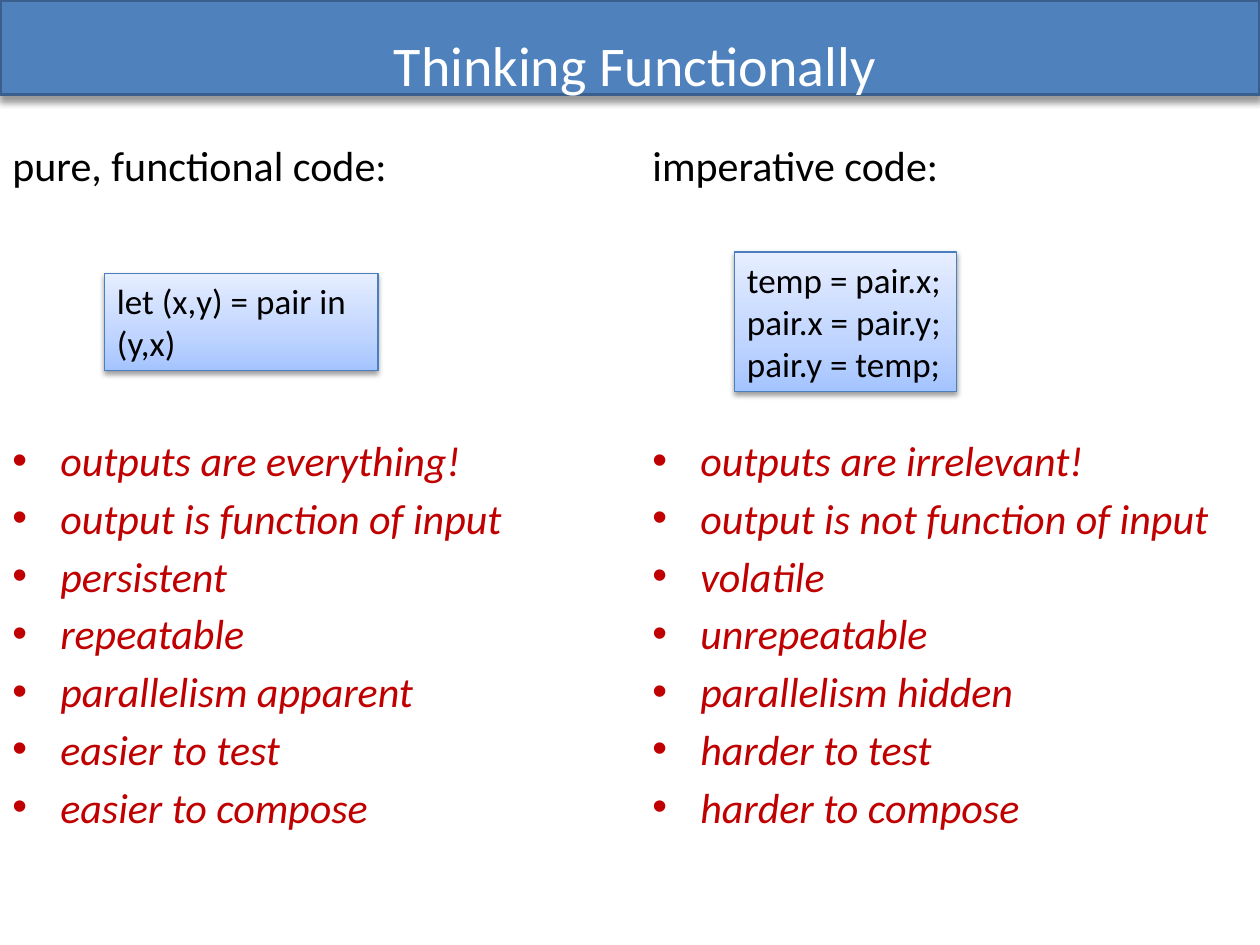
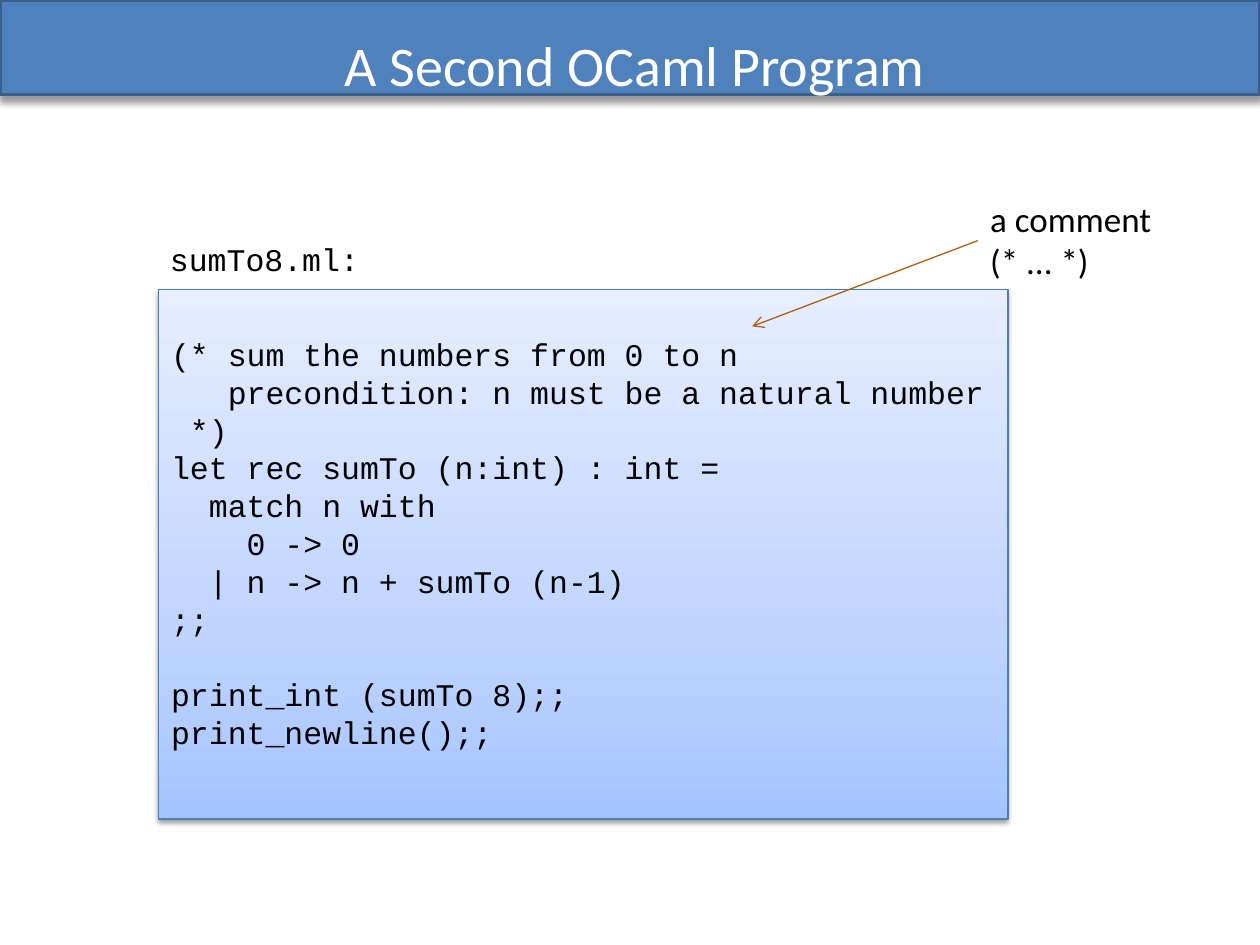
from lxml import etree
from pptx import Presentation
from pptx.dml.color import RGBColor
from pptx.enum.shapes import MSO_CONNECTOR as Link, MSO_SHAPE as Shape
from pptx.enum.text import MSO_ANCHOR as Anchor, PP_ALIGN as Align
from pptx.oxml.ns import qn
from pptx.util import Inches, Pt

# Shared look
SANS, MONO = "Calibri", "Courier New"
BLACK, WHITE, RED = "000000", "FFFFFF", "C00000"
BLUE, NAVY, EDGE, BROWN = "4F81BD", "3A5F8C", "4B7EBC", "B45F06"
STOPS = [(0, "A4C4FF"), (35, "BFD4FF"), (100, "E6EEFF")]
GAP = Pt(4.2)

# Words of the first slide: left, width, heading, points
PURE = (0, 4.92, "pure, functional code:", [
    "outputs are everything!", "output is function of input", "persistent",
    "repeatable", "parallelism apparent", "easier to test",
    "easier to compose"])
STATE = (5.08, 4.63, "imperative code:", [
    "outputs are irrelevant!", "output is not function of input", "volatile",
    "unrepeatable", "parallelism hidden", "harder to test",
    "harder to compose"])
SWAP = ["let (x,y) = pair in", "(y,x)"]
TEMP = ["temp = pair.x;", "pair.x = pair.y;", "pair.y = temp;"]

# Code of the second slide
SUM = [
    "(* sum the numbers from 0 to n",
    "   precondition: n must be a natural number",
    " *)",
    "let rec sumTo (n:int) : int =",
    "  match n with",
    "    0 -> 0",
    "  | n -> n + sumTo (n-1)",
    ";;",
]
PRINT = ["print_int (sumTo 8);;", "print_newline();;"]


def color(code):
    return RGBColor.from_string(code)


def node(parent, tag, **attrs):
    return etree.SubElement(parent, qn(tag),
                            {key: str(val) for key, val in attrs.items()})


# Text
def add_line(para, text, size, font=SANS, tint=BLACK, italic=False):
    run = para.add_run()
    run.text = text
    run.font.size = Pt(size)
    run.font.name = font
    run.font.italic = italic
    run.font.color.rgb = color(tint)


def fill_text(frame, lines, size, font=SANS, tint=BLACK, italic=False,
              align=Align.LEFT, gap=0, dots=False):
    for num, text in enumerate(lines):
        para = frame.add_paragraph() if num else frame.paragraphs[0]
        para.alignment = align
        if num:
            para.space_before = gap
        if dots:
            add_dot(para)
        add_line(para, text, size, font, tint, italic)


def add_dot(para):
    props = para._p.get_or_add_pPr()
    props.set("marL", str(Inches(0.38)))
    props.set("indent", str(-Inches(0.38)))
    node(props, "a:buFont", typeface="Arial")
    node(props, "a:buChar", char="•")


def add_text(slide, box, lines, size, wrap=True, anchor=Anchor.TOP, **style):
    frame = slide.shapes.add_textbox(*map(Inches, box)).text_frame
    frame.word_wrap = wrap
    frame.vertical_anchor = anchor
    fill_text(frame, lines, size, **style)


# Shapes
def add_box(slide, box, edge, width, shade):
    shape = slide.shapes.add_shape(Shape.RECTANGLE, *map(Inches, box))
    shape.line.color.rgb = color(edge)
    shape.line.width = Pt(width)
    shape.shadow.inherit = False
    blur, dist, alpha = shade
    effects = shape._element.spPr.find(qn("a:effectLst"))
    shadow = node(effects, "a:outerShdw", blurRad=Pt(blur), dist=Pt(dist),
                  dir=90 * 60000, rotWithShape=0)
    tone = node(shadow, "a:srgbClr", val=BLACK)
    node(tone, "a:alpha", val=alpha * 1000)
    return shape


def add_code(slide, box, lines, size, font=SANS, wrap=True, top=0.05):
    shape = add_box(slide, box, EDGE, 0.75, (3.1, 1.6, 38))
    shape.fill.gradient()
    shape.fill.gradient_angle = 90
    stops = shape._element.spPr.find(qn("a:gradFill")).find(qn("a:gsLst"))
    for stop in list(stops):
        stops.remove(stop)
    for place, tint in STOPS:
        stop = node(stops, "a:gs", pos=place * 1000)
        node(stop, "a:srgbClr", val=tint)
    frame = shape.text_frame
    frame.word_wrap = wrap
    frame.vertical_anchor = Anchor.TOP
    frame.margin_top = Inches(top)
    fill_text(frame, lines, size, font)
    return frame


def add_arrow(slide, start, end):
    arrow = slide.shapes.add_connector(
        Link.STRAIGHT, *map(Inches, start + end))
    arrow.line.color.rgb = color(BROWN)
    arrow.line.width = Pt(0.75)
    node(arrow.line._get_or_add_ln(), "a:tailEnd", type="arrow")
    node(arrow._element.spPr, "a:effectLst")


# Slides
def new_slide(deck, title):
    slide = deck.slides.add_slide(deck.slide_layouts[6])
    band = add_box(slide, (0, 0, 10, 0.75), NAVY, 2, (4, 3, 40))
    band.fill.solid()
    band.fill.fore_color.rgb = color(BLUE)
    add_text(slide, (0.54, -0.12, 9, 1.25), [title], 32, tint=WHITE,
             anchor=Anchor.MIDDLE, align=Align.CENTER)
    return slide


def add_column(slide, left, width, head, points):
    add_text(slide, (left, 1.06, width, 0.5), [head], 24)
    add_text(slide, (left, 3.4, width, 3.66), points, 24, tint=RED,
             italic=True, gap=GAP, dots=True)


def think_slide(deck):
    slide = new_slide(deck, "Thinking Functionally")
    for column in (STATE, PURE):
        add_column(slide, *column)
    add_code(slide, (5.83, 2, 1.76, 1.11), TEMP, 20, wrap=False)
    add_code(slide, (0.83, 2.17, 2.17, 0.77), SWAP, 20)


def sum_slide(deck):
    slide = new_slide(deck, "A Second OCaml Program")
    frame = add_code(slide, (1.26, 2.3, 6.74, 4.2), SUM + PRINT, 18, MONO,
                     top=0.36)
    frame.paragraphs[len(SUM)].space_before = Pt(21.6)
    add_arrow(slide, (7.76, 1.91), (5.97, 2.59))
    add_text(slide, (7.76, 1.52, 1.49, 0.77), ["a comment", "(* ... *)"], 20,
             wrap=False)
    add_text(slide, (1.25, 1.86, 1.71, 0.4), ["sumTo8.ml:"], 18, wrap=False,
             font=MONO)


def main():
    deck = Presentation()
    deck.slide_width, deck.slide_height = Inches(10), Inches(7.5)
    think_slide(deck)
    sum_slide(deck)
    deck.save("out.pptx")


if __name__ == "__main__":
    main()
